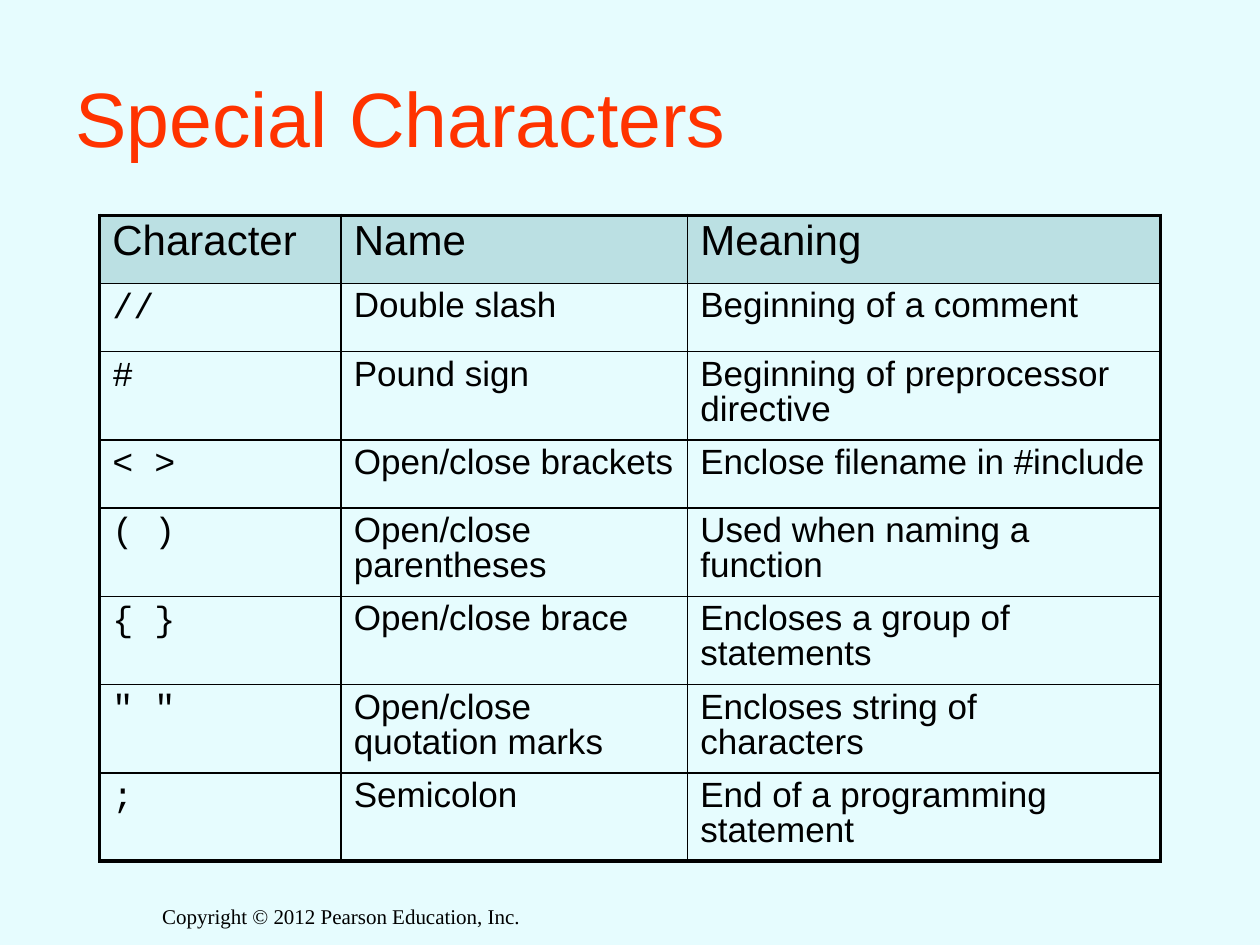
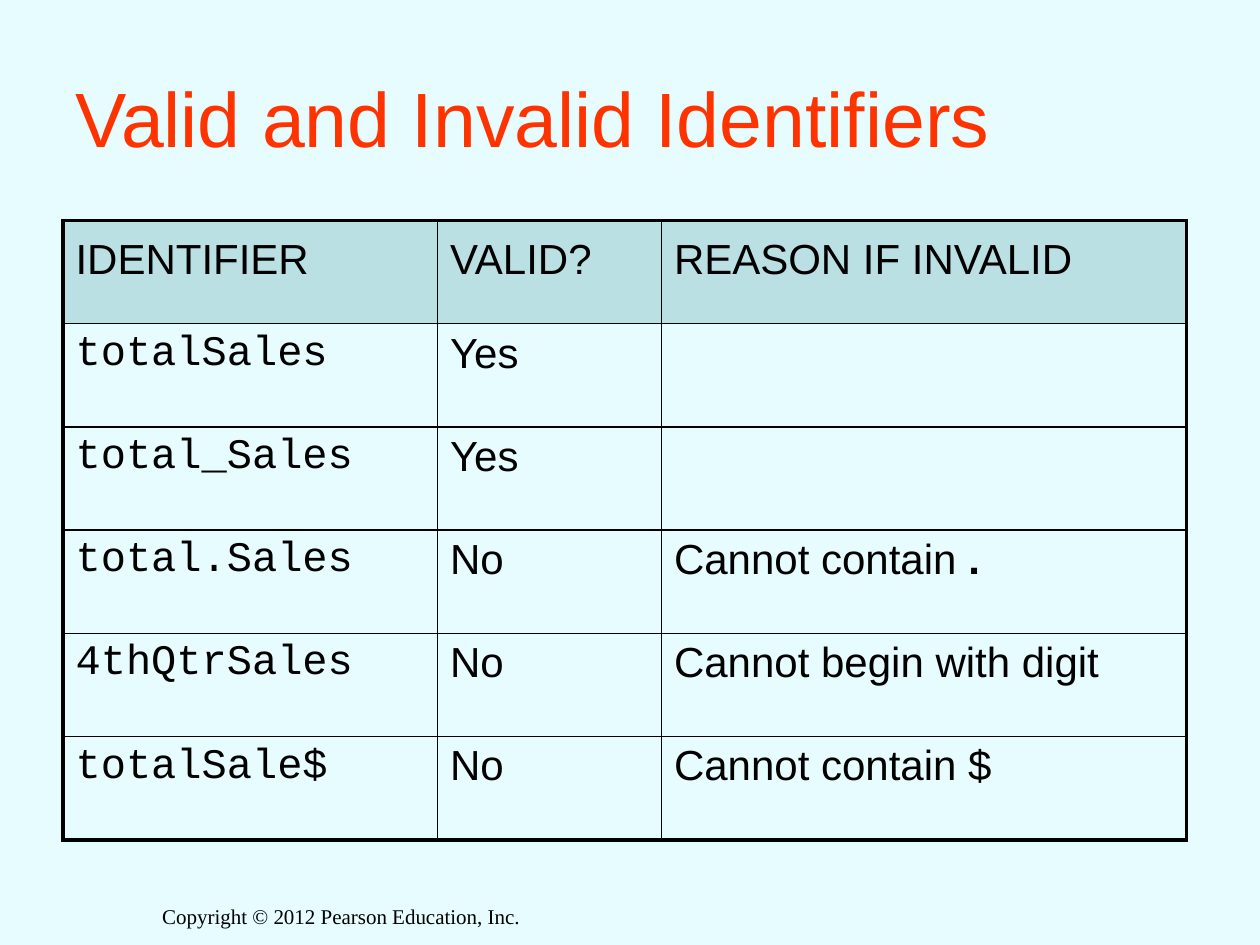
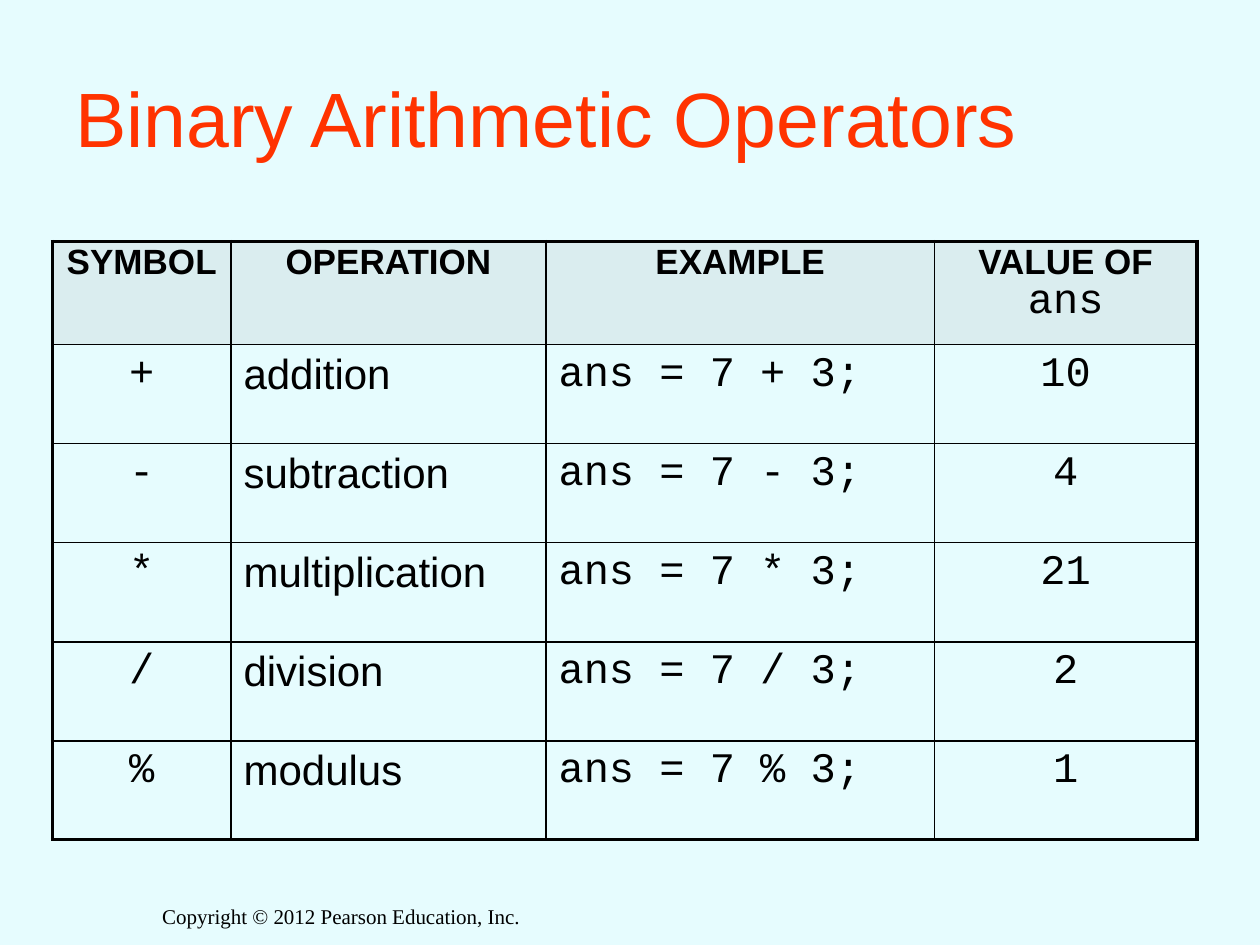
"""Builds three slides of C++ reference tables on a shared pale blue style."""
from lxml.etree import SubElement
from pptx import Presentation
from pptx.dml.color import RGBColor
from pptx.enum.text import MSO_ANCHOR as Anchor, PP_ALIGN as Align
from pptx.oxml.ns import qn
from pptx.util import Pt

COLORS = {"background": "E6FCFE", "title": "FF3300", "text": "000000",
          "header": "BBE0E3", "pale_header": "DAEDEF"}
SANS, MONO, SERIF = "Arial", "Courier New", "Times New Roman"
THICK, THIN = 2.25, 1


def set_values(target, values):
    for name, value in values.items():
        setattr(target, name, value)


class Deck:
    def __init__(self):
        self.presentation = Presentation()
        set_values(self.presentation, {"slide_width": Pt(720), "slide_height": Pt(540)})
        fill = self.presentation.slide_master.background.fill
        fill.solid()
        fill.fore_color.rgb = RGBColor.from_string(COLORS["background"])

    def add_slide(self, title):
        layout = self.presentation.slide_layouts[6]
        self.slide = self.presentation.slides.add_slide(layout)
        self.add_text("Copyright © 2012 Pearson Education, Inc.", (78, 513, 234, 54),
                      {"name": SERIF, "size": Pt(12)}, align=Align.CENTER)
        self.add_text(title, (36, 21.6, 648, 90), {"name": SANS, "size": Pt(44)},
                      "title", anchor=Anchor.MIDDLE)

    def add_text(self, text, box, font, color="text", align=Align.LEFT, anchor=Anchor.TOP):
        frame = self.slide.shapes.add_textbox(*map(Pt, box)).text_frame
        set_values(frame, {"word_wrap": True, "vertical_anchor": anchor})
        self.fill_paragraph(frame.paragraphs[0], text, font, color, {"alignment": align})

    def fill_paragraph(self, paragraph, content, font, color, layout):
        set_values(paragraph, layout)
        runs = [(content, {})] if isinstance(content, str) else content
        for text, changes in runs:
            run = paragraph.add_run()
            run.text = text
            set_values(run.font, {**font, **changes})
            run.font.color.rgb = RGBColor.from_string(COLORS[color])

    def add_borders(self, cell, widths):
        properties = cell._tc.get_or_add_tcPr()
        for side, width in widths.items():
            line = SubElement(properties, qn(f"a:ln{side}"), w=str(Pt(width)))
            solid = SubElement(line, qn("a:solidFill"))
            SubElement(solid, qn("a:srgbClr"), val=COLORS["text"])

    def add_table(self, left, top, widths, heights, rows, columns, header, body_layout):
        box = (left, top, sum(widths), sum(heights))
        table = self.slide.shapes.add_table(len(rows), len(widths), *map(Pt, box)).table
        set_values(table, {"first_row": False, "horz_banding": False})
        for column, width in zip(table.columns, widths):
            column.width = Pt(width)
        for row, height in zip(table.rows, heights):
            row.height = Pt(height)
        last_row, last_column = len(rows) - 1, len(widths) - 1
        for i, contents in enumerate(rows):
            for j, content in enumerate(contents):
                cell = table.cell(i, j)
                self.add_borders(cell, {"L": THIN if j else THICK,
                                        "R": THICK if j == last_column else THIN,
                                        "T": THIN if i else THICK,
                                        "B": THICK if i == last_row else THIN})
                font, layout = columns[j], body_layout
                if i:
                    cell.fill.background()
                else:
                    font, layout = header["font"], header["layout"]
                    cell.fill.solid()
                    cell.fill.fore_color.rgb = RGBColor.from_string(COLORS[header["fill"]])
                if j in header.get("centered", ()):
                    layout = {**layout, "alignment": Align.CENTER}
                if content:
                    self.fill_paragraph(cell.text_frame.paragraphs[0], content, font,
                                        "text", layout)


def add_special_characters(deck):
    deck.add_slide("Special Characters")
    rows = [
        ("Character", "Name", "Meaning"),
        ("//", "Double slash", "Beginning of a comment"),
        ("#", "Pound sign", "Beginning of preprocessor directive"),
        ("< >", "Open/close brackets", "Enclose filename in #include"),
        ("( )", "Open/close parentheses", "Used when naming a function"),
        ("{ }", "Open/close brace", "Encloses a group of statements"),
        ('" "', "Open/close quotation marks", "Encloses string of characters"),
        (";", "Semicolon", "End of a programming statement"),
    ]
    one_line, two_lines = 39, 50.4
    heights = [one_line, one_line, two_lines, one_line] + [two_lines] * 4
    mono, sans = ({"name": name, "size": Pt(20)} for name in (MONO, SANS))
    tight = {"line_spacing": 0.9}
    header = {"font": {"name": SANS, "size": Pt(24)}, "fill": "header", "layout": tight}
    deck.add_table(57, 123, (138, 198, 270), heights, rows, (mono, sans, sans), header, tight)


def add_identifiers(deck):
    deck.add_slide("Valid and Invalid Identifiers")
    rows = [
        ("IDENTIFIER", "VALID?", "REASON IF INVALID"),
        ("totalSales", "Yes", ""),
        ("total_Sales", "Yes", ""),
        ("total.Sales", "No", [("Cannot contain ", {}), (".", {"bold": True})]),
        ("4thQtrSales", "No", "Cannot begin with digit"),
        ("totalSale$", "No", "Cannot contain $"),
    ]
    mono, sans = ({"name": name, "size": Pt(24)} for name in (MONO, SANS))
    header = {"font": sans, "fill": "header", "layout": {"line_spacing": 1.2}}
    deck.add_table(36, 126, (214, 128, 300), [59] * len(rows), rows,
                   (mono, sans, sans), header, {})


def add_operators(deck):
    deck.add_slide("Binary Arithmetic Operators")
    mono, sans = ({"name": name, "size": Pt(24)} for name in (MONO, SANS))
    operations = [("+", "addition", "10"), ("-", "subtraction", "4"),
                  ("*", "multiplication", "21"), ("/", "division", "2"),
                  ("%", "modulus", "1")]
    value_heading = [("VALUE OF ", {}), ("ans", {**mono, "bold": False})]
    rows = [("SYMBOL", "OPERATION", "EXAMPLE", value_heading)]
    rows += [(symbol, name, f"ans = 7 {symbol} 3;", value)
             for symbol, name, value in operations]
    header = {"font": {"name": SANS, "size": Pt(20), "bold": True}, "fill": "pale_header",
              "layout": {"line_spacing": 0.85, "alignment": Align.CENTER},
              "centered": (0, 3)}
    deck.add_table(30, 138, (102, 180, 222, 150), [59] + [56.6] * len(operations), rows,
                   (mono, sans, mono, mono), header, {})


def main():
    deck = Deck()
    add_special_characters(deck)
    add_identifiers(deck)
    add_operators(deck)
    deck.presentation.save("out.pptx")


if __name__ == "__main__":
    main()
